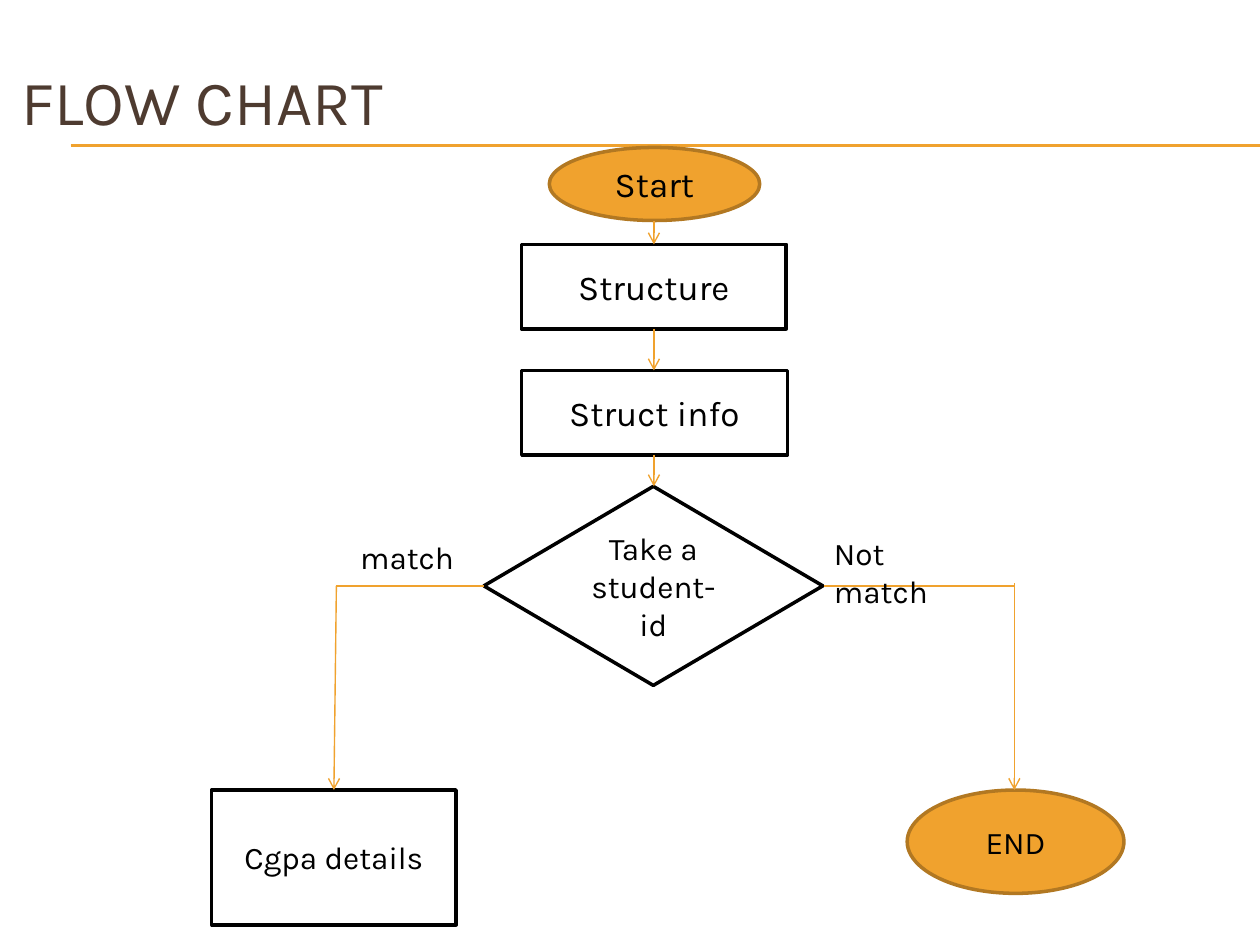
from lxml import etree
from pptx import Presentation
from pptx.dml.color import RGBColor
from pptx.enum.shapes import MSO_CONNECTOR, MSO_SHAPE
from pptx.enum.text import MSO_ANCHOR, MSO_AUTO_SIZE, PP_ALIGN
from pptx.oxml.ns import qn
from pptx.util import Inches, Pt

STRAIGHT = MSO_CONNECTOR.STRAIGHT
PROCESS = MSO_SHAPE.FLOWCHART_PROCESS
DECISION = MSO_SHAPE.FLOWCHART_DECISION
OVAL = MSO_SHAPE.OVAL
LEFT, CENTER = PP_ALIGN.LEFT, PP_ALIGN.CENTER
MIDDLE, TOP = MSO_ANCHOR.MIDDLE, MSO_ANCHOR.TOP
NO_AUTOSIZE = MSO_AUTO_SIZE.NONE

FONT = "Karla"
COLORS = {
    "orange": "F0A22E",
    "brown_line": "B27822",
    "title": "4E3B30",
    "black": "000000",
    "white": "FFFFFF",
}


def color(name):
    return RGBColor.from_string(COLORS[name])


def write_text(shape, text, size, alignment, anchor, color_name="black"):
    frame = shape.text_frame
    frame.word_wrap = True
    frame.auto_size = NO_AUTOSIZE
    frame.vertical_anchor = anchor
    paragraph = frame.paragraphs[0]
    paragraph.alignment = alignment
    run = paragraph.add_run()
    run.text = text
    run.font.name = FONT
    run.font.size = Pt(size)
    run.font.color.rgb = color(color_name)


def add_line(slide, start, end, width=0.79, arrow=False):
    points = [Inches(value) for value in (*start, *end)]
    connector = slide.shapes.add_connector(STRAIGHT, *points)
    connector.line.color.rgb = color("orange")
    connector.line.width = Pt(width)
    if arrow:
        line = connector.line._get_or_add_ln()
        etree.SubElement(line, qn("a:tailEnd"), type="arrow")
    etree.SubElement(connector._element.spPr, qn("a:effectLst"))


def add_node(slide, kind, box, text, size):
    shape = slide.shapes.add_shape(kind, *[Inches(value) for value in box])
    shape.shadow.inherit = False
    terminal = kind == OVAL
    shape.fill.solid()
    shape.fill.fore_color.rgb = color("orange" if terminal else "white")
    shape.line.color.rgb = color("brown_line" if terminal else "black")
    shape.line.width = Pt(2)
    write_text(shape, text, size, CENTER, MIDDLE)


def add_label(slide, box, text):
    label = slide.shapes.add_textbox(*[Inches(value) for value in box])
    write_text(label, text, 18, LEFT, TOP)


def add_header(slide, box):
    # Double rule under the title
    for y in (1.15, 1.16):
        add_line(slide, (0.56, y), (10, y), 0.75)
    title = slide.shapes.title
    title.left, title.top, title.width, title.height = [Inches(value) for value in box]
    write_text(title, "FLOW CHART", 36, LEFT, MIDDLE, "title")


def add_flow_chart(slide, box):
    left, top, width, height = box
    right, bottom = left + width, top + height
    axis, end_axis = 5.19, 8.05
    branch_y, result_y = 4.65, 6.27

    # Main column, from top to bottom
    steps = [
        (OVAL, (4.36, top, 1.67, 0.58), "Start", 20),
        (PROCESS, (4.14, 1.94, 2.1, 0.67), "Structure", 20),
        (PROCESS, (4.14, 2.94, 2.11, 0.67), "Struct info", 20),
        (DECISION, (3.84, 3.86, 2.69, 1.58), "Take a student-id", 18),
    ]
    for step in steps:
        add_node(slide, *step)
    for (_, upper, *_), (_, lower, *_) in zip(steps, steps[1:]):
        add_line(slide, (axis, upper[1] + upper[3]), (axis, lower[1]), arrow=True)

    # Results of the two branches
    add_node(slide, PROCESS, (left, result_y, 1.94, bottom - result_y), "Cgpa details", 18)
    add_node(slide, OVAL, (right - 1.72, result_y, 1.72, 0.82), "END", 18)

    # Branch lines and labels
    add_line(slide, (3.84, branch_y), (2.67, branch_y))
    add_line(slide, (2.67, branch_y), (2.65, result_y), arrow=True)
    add_line(slide, (6.54, branch_y), (end_axis, branch_y))
    add_line(slide, (end_axis, 4.63), (end_axis, result_y), arrow=True)
    add_label(slide, (2.76, 4.22, 1.06, 0.4), "match")
    add_label(slide, (6.52, 4.19, 1.36, 0.4), "Not match")


def main():
    presentation = Presentation()
    presentation.slide_width = Inches(10)
    presentation.slide_height = Inches(7.5)
    slide = presentation.slides.add_slide(presentation.slide_layouts[5])
    add_header(slide, (0.07, 0.02, 3.17, 1.55))
    add_flow_chart(slide, (1.68, 1.17, 7.24, 6.17))
    presentation.save("out.pptx")


if __name__ == "__main__":
    main()
